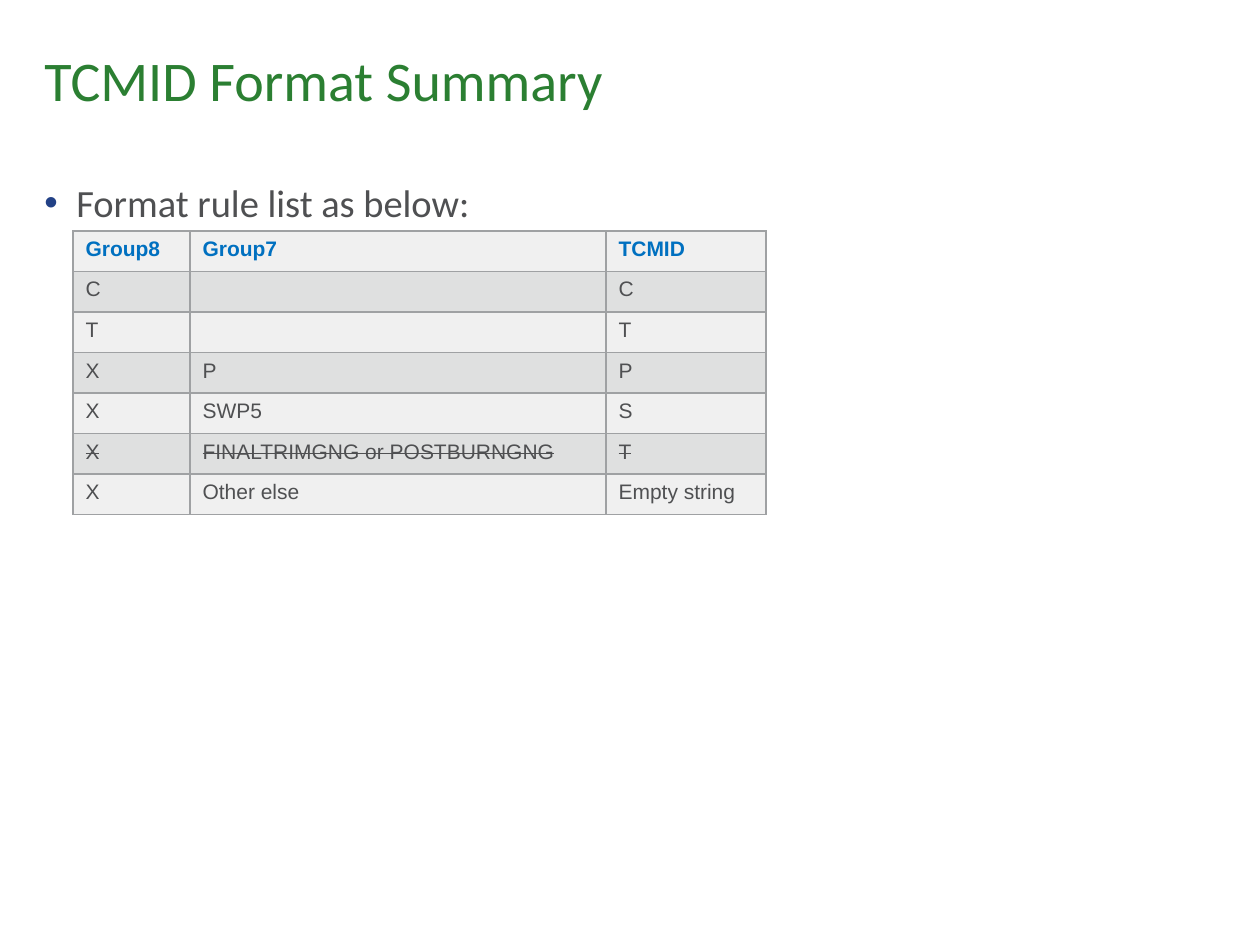
from lxml.etree import SubElement
from pptx import Presentation
from pptx.dml.color import RGBColor
from pptx.enum.text import MSO_ANCHOR
from pptx.oxml.ns import qn
from pptx.util import Emu, Pt

PX_PER_INCH = 126
COLORS = {
    "title": "2B7F32",
    "text": "4F5052",
    "bullet": "224186",
    "header": "0070C0",
    "border": "9FA1A3",
    "light": "F0F0F0",
    "dark": "DFE0E0",
}
HEADER = ["Group8", "Group7", "TCMID"]
RULES = [
    ["C", "", "C"],
    ["T", "", "T"],
    ["X", "P", "P"],
    ["X", "SWP5", "S"],
    ["X", "FINALTRIMGNG or POSTBURNGNG", "T"],
    ["X", "Other else", "Empty string"],
]
WITHDRAWN_ROW = 5


def px(n):
    return Emu(round(n * 914400 / PX_PER_INCH))


def rgb(name):
    return RGBColor.from_string(COLORS[name])


class SlideBuilder:
    heading_font = "Calibri"
    table_font = "Arial"
    table_size = 12

    def __init__(self, prs):
        self.s = prs.slides.add_slide(prs.slide_layouts[6])

    def run(self, p, text, font, size, color, bold=False):
        r = p.add_run()
        r.text = text
        r.font.name = font
        r.font.size = Pt(size)
        r.font.bold = bold
        r.font.color.rgb = rgb(color)
        return r

    def text_box(self, x, y, w, h, anchor):
        tf = self.s.shapes.add_textbox(px(x), px(y), px(w), px(h)).text_frame
        tf.word_wrap = True
        tf.vertical_anchor = anchor
        return tf.paragraphs[0]

    def title(self, text, x, y, w, h):
        p = self.text_box(x, y, w, h, MSO_ANCHOR.MIDDLE)
        p.line_spacing = 0.9
        self.run(p, text, self.heading_font, 32, "title")

    def bullet(self, text, x, y, w, h, indent):
        p = self.text_box(x, y, w, h, MSO_ANCHOR.TOP)
        pPr = p._p.get_or_add_pPr()
        pPr.set("marL", str(px(indent)))
        pPr.set("indent", str(-px(indent)))
        clr = SubElement(pPr, qn("a:buClr"))
        SubElement(clr, qn("a:srgbClr"), val=COLORS["bullet"])
        SubElement(pPr, qn("a:buFont"), typeface="Arial")
        SubElement(pPr, qn("a:buChar"), char="•")
        self.run(p, text, self.heading_font, 22, "text")

    def borders(self, cell):
        tcPr = cell._tc.get_or_add_tcPr()
        for side in ("lnL", "lnR", "lnT", "lnB"):
            ln = SubElement(tcPr, qn(f"a:{side}"), w=str(Pt(1)))
            fill = SubElement(ln, qn("a:solidFill"))
            SubElement(fill, qn("a:srgbClr"), val=COLORS["border"])

    def cell(self, cell, text, fill, color, bold, strike):
        self.borders(cell)
        cell.fill.solid()
        cell.fill.fore_color.rgb = rgb(fill)
        p = cell.text_frame.paragraphs[0]
        if not text:
            # The end mark's size keeps an empty cell from stretching its row.
            SubElement(p._p, qn("a:endParaRPr"), sz=str(self.table_size * 100))
            return
        r = self.run(p, text, self.table_font, self.table_size, color, bold)
        if strike:
            r.font._element.set("strike", "sngStrike")

    def table(self, rows, x, y, widths, h, struck_row):
        table = self.s.shapes.add_table(
            len(rows), len(widths), px(x), px(y), px(sum(widths)), px(h)
        ).table
        for col, w in zip(table.columns, widths):
            col.width = px(w)
        for i, row in enumerate(rows):
            fill = "dark" if i % 2 else "light"
            color = "text" if i else "header"
            for j, text in enumerate(row):
                self.cell(table.cell(i, j), text, fill, color, i == 0, i == struck_row)


def main():
    prs = Presentation()
    prs.slide_width, prs.slide_height = px(1260), px(945)
    slide = SlideBuilder(prs)
    slide.bullet("Format rule list as below:", 32, 173, 1197, 692, indent=32)
    slide.title("TCMID Format Summary", 32, 35, 1197, 97)
    slide.table([HEADER] + RULES, 73, 231, [117, 416, 160], 284, WITHDRAWN_ROW)
    prs.save("out.pptx")


if __name__ == "__main__":
    main()
